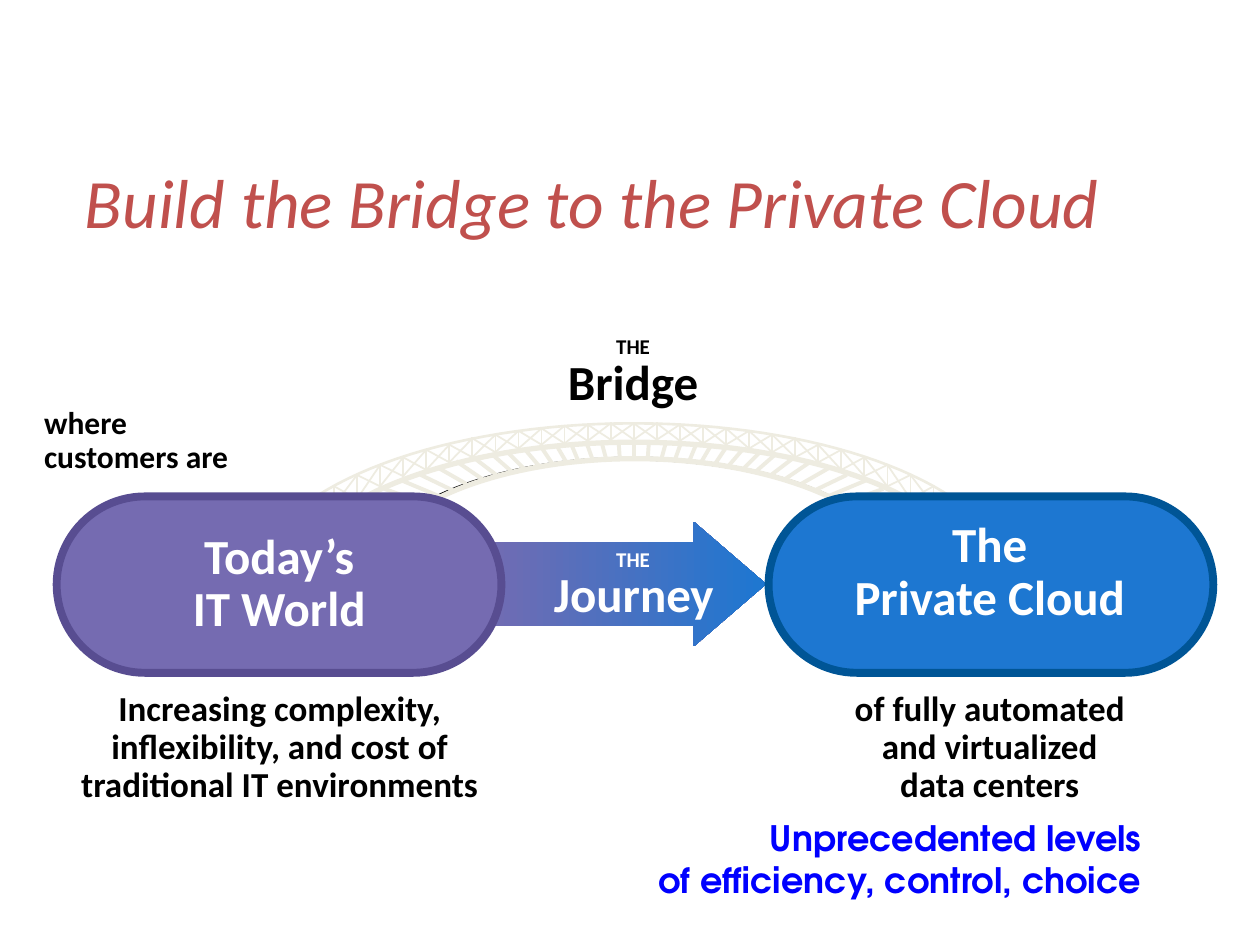
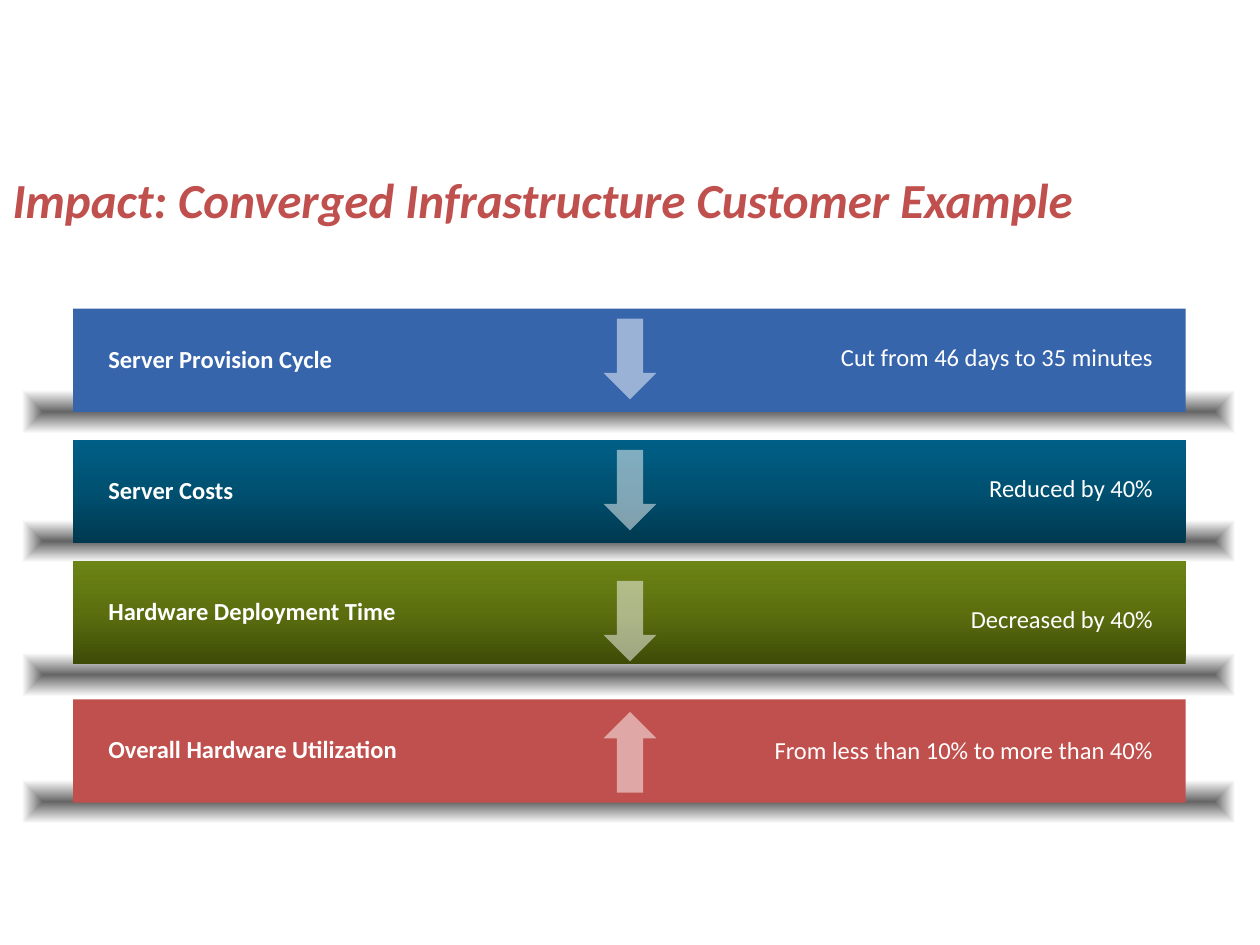
from dataclasses import dataclass

from lxml import etree
from pptx import Presentation
from pptx.dml.color import RGBColor
from pptx.enum.shapes import MSO_CONNECTOR, MSO_SHAPE
from pptx.enum.text import MSO_ANCHOR, PP_ALIGN
from pptx.oxml import parse_xml
from pptx.oxml.ns import nsdecls, qn
from pptx.util import Inches, Pt

COLORS = {
    "title": "C0504D",
    "purple": "756BB1",
    "purple_edge": "584D91",
    "blue": "1D77D1",
    "blue_edge": "005596",
    "steel": "EEECE1",
    "black": "000000",
    "white": "FFFFFF",
    "promise": "0000FF",
    "provision": "3665AC",
}
FONT = "Calibri"
CENTER_X = 5.03
PANEL_STEP = 0.183
TRUSS_TOP = [3.36, 3.36, 3.37, 3.38, 3.40, 3.42, 3.45, 3.48, 3.53, 3.57, 3.63, 3.69, 3.77, 3.86]
TRUSS_BOTTOM = [3.49, 3.49, 3.50, 3.52, 3.53, 3.56, 3.59, 3.63, 3.67, 3.73, 3.78, 3.86, 3.96, 4.01]
DECK_STRUTS = [
    (5.14, 3.65, 5.15, 3.51), (5.25, 3.64, 5.28, 3.53), (5.36, 3.64, 5.41, 3.50),
    (5.47, 3.66, 5.52, 3.54), (5.57, 3.66, 5.64, 3.54), (5.67, 3.69, 5.77, 3.54),
    (5.78, 3.70, 5.90, 3.56), (5.89, 3.73, 6.03, 3.59), (5.99, 3.75, 6.15, 3.61),
    (6.12, 3.77, 6.29, 3.64), (6.22, 3.81, 6.44, 3.66), (6.36, 3.84, 6.57, 3.72),
    (6.47, 3.89, 6.72, 3.77), (6.57, 3.94, 6.88, 3.81), (6.67, 4.00, 7.01, 3.88),
]
Point = tuple[float, float]


@dataclass(frozen=True)
class Arc:
    points: list[Point]
    color: str
    weight: float


@dataclass(frozen=True)
class Pill:
    left: float
    fill: str
    edge: str


@dataclass(frozen=True)
class Label:
    text: str
    box: tuple[float, float, float, float]
    size: float
    color: str = COLORS["black"]
    align: PP_ALIGN = PP_ALIGN.CENTER
    spacing: float = 1.0
    font: str = FONT
    bold: bool = True
    wrap: bool = False


@dataclass(frozen=True)
class Impact:
    measure: str
    result: str
    top: float
    shadow_top: float
    fill: list[str]
    arrow: MSO_SHAPE = MSO_SHAPE.DOWN_ARROW


ARCS = [
    Arc([(3.28, 4.05), (3.68, 3.79), (4.33, 3.64), (5.03, 3.64),
         (5.71, 3.64), (6.35, 3.79), (6.75, 4.03)], COLORS["black"], 2.25),
    Arc([(2.70, 4.06), (3.20, 3.72), (4.08, 3.51), (5.03, 3.51),
         (5.95, 3.51), (6.81, 3.70), (7.31, 4.02)], COLORS["steel"], 3),
    Arc([(2.37, 4.04), (2.90, 3.62), (3.92, 3.36), (5.03, 3.36),
         (6.10, 3.36), (7.09, 3.60), (7.63, 4.00)], COLORS["steel"], 1.5),
    Arc([(3.29, 4.06), (3.68, 3.80), (4.34, 3.64), (5.04, 3.64),
         (5.73, 3.64), (6.38, 3.80), (6.78, 4.05)], COLORS["steel"], 3),
]
PILLS = [
    Pill(6.10, COLORS["blue"], COLORS["blue_edge"]),
    Pill(0.45, COLORS["purple"], COLORS["purple_edge"]),
]
BRIDGE_LABELS = [
    Label("The\nPrivate Cloud", (6.60, 4.13, 2.51, 0.84), 28, COLORS["white"], spacing=0.9),
    Label("Today’s\nIT World", (1.44, 4.22, 1.55, 0.84), 28, COLORS["white"], spacing=0.9),
    Label("THE", (4.86, 4.34, 0.33, 0.20), 12, COLORS["white"]),
    Label("Journey", (4.27, 4.47, 1.52, 0.47), 28, COLORS["white"]),
    Label("THE", (4.86, 2.65, 0.33, 0.20), 12),
    Label("Bridge", (4.41, 2.79, 1.23, 0.47), 28),
    Label("where\ncustomers are", (0.35, 3.23, 1.71, 0.54), 18, align=PP_ALIGN.LEFT, spacing=0.9),
    Label("of fully automated\nand virtualized\ndata centers", (6.66, 5.49, 2.39, 0.90), 20, spacing=0.9),
    Label("Unprecedented levels\nof efficiency, control, choice", (5.21, 6.48, 3.85, 0.67), 20,
          COLORS["promise"], PP_ALIGN.RIGHT, font="TeX Gyre Adventor"),
    Label("Increasing complexity,\ninflexibility, and cost of\ntraditional IT environments",
          (0.44, 5.49, 3.56, 0.90), 20, spacing=0.9),
]
IMPACTS = [
    Impact("Server Provision Cycle", "Cut from 46 days to 35 minutes", 2.45, 3.10, [COLORS["provision"]]),
    Impact("Server Costs", "Reduced by 40%", 3.49, 4.13, ["00394F", "005071", "005F86"]),
    Impact("Hardware Deployment Time", "Decreased by 40%", 4.45, 5.19, ["3D4B07", "5B6F0F", "6D8515"]),
    Impact("Overall Hardware Utilization", "From less than 10% to more than 40%", 5.55, 6.20,
           [COLORS["title"]], MSO_SHAPE.UP_ARROW),
]


def rgb(color: str) -> RGBColor:
    return RGBColor.from_string(color)


def inches(*values: float) -> list[int]:
    return [Inches(value) for value in values]


def set_gradient(shape, stops: list[tuple[str, int]], direction: str) -> None:
    steps = "".join(
        f'<a:gs pos="{i * 100000 // (len(stops) - 1)}"><a:srgbClr val="{color}">'
        f'<a:alpha val="{alpha * 1000}"/></a:srgbClr></a:gs>'
        for i, (color, alpha) in enumerate(stops)
    )
    gradient = parse_xml(f'<a:gradFill {nsdecls("a")} rotWithShape="1"><a:gsLst>{steps}</a:gsLst>{direction}</a:gradFill>')
    shape.fill.background()
    properties = shape.element.spPr
    properties.replace(properties.find(qn("a:noFill")), gradient)


def add_block(slide, kind: MSO_SHAPE, box: tuple[float, ...], fill: str | None = None):
    block = slide.shapes.add_shape(kind, *inches(*box))
    block.shadow.inherit = False
    block.line.fill.background()
    if fill:
        block.fill.solid()
        block.fill.fore_color.rgb = rgb(fill)
    return block


def format_text(frame, label: Label) -> None:
    frame.word_wrap = label.wrap
    paragraph = frame.paragraphs[0]
    paragraph.text = label.text
    paragraph.alignment = label.align
    paragraph.line_spacing = label.spacing
    for run in paragraph.runs:
        run.font.name = label.font
        run.font.size = Pt(label.size)
        run.font.bold = label.bold
        run.font.color.rgb = rgb(label.color)


def add_label(slide, label: Label, inset: tuple[float, float] = (0, 0)) -> None:
    frame = slide.shapes.add_textbox(*inches(*label.box)).text_frame
    frame.margin_left = frame.margin_right = Inches(inset[0])
    frame.margin_top = frame.margin_bottom = Inches(inset[1])
    format_text(frame, label)


def set_title(slide, label: Label, anchor: MSO_ANCHOR) -> None:
    title = slide.shapes.title
    title.left, title.top, title.width, title.height = inches(*label.box)
    title.text_frame.vertical_anchor = anchor
    format_text(title.text_frame, label)
    title.text_frame.paragraphs[0].runs[0].font.italic = True


def add_member(slide, ends: tuple[float, ...], weight: float) -> None:
    member = slide.shapes.add_connector(MSO_CONNECTOR.STRAIGHT, *inches(*ends))
    member.line.color.rgb = rgb(COLORS["steel"])
    member.line.width = Pt(weight)
    etree.SubElement(member.element.spPr, qn("a:effectLst"))


def add_outline(slide, points: list[Point], color: str, weight: float) -> None:
    corners = [tuple(inches(*point)) for point in points]
    builder = slide.shapes.build_freeform(*corners[0])
    builder.add_line_segments(corners[1:], close=False)
    outline = builder.convert_to_shape()
    outline.shadow.inherit = False
    outline.fill.background()
    outline.line.color.rgb = rgb(color)
    outline.line.width = Pt(weight)


def curve(points: list[Point], steps: int = 24) -> list[Point]:
    result = [points[0]]
    for first in range(0, len(points) - 1, 3):
        a, b, c, d = points[first:first + 4]
        for step in range(1, steps + 1):
            t = step / steps
            u = 1 - t
            result.append(tuple(
                u**3 * p + 3 * u**2 * t * q + 3 * u * t**2 * r + t**3 * s
                for p, q, r, s in zip(a, b, c, d)
            ))
    return result


def draw_bridge(slide) -> None:
    for arc in ARCS[:-1]:
        add_outline(slide, curve(arc.points), arc.color, arc.weight)
    add_member(slide, (CENTER_X, 3.64, CENTER_X, 3.51), 2.25)
    for x1, y1, x2, y2 in DECK_STRUTS:
        add_member(slide, (x1, y1, x2, y2), 2.25)
        add_member(slide, (2 * CENTER_X - x1, y1, 2 * CENTER_X - x2, y2), 2.25)
    add_outline(slide, curve(ARCS[-1].points), ARCS[-1].color, ARCS[-1].weight)
    panels = list(enumerate(zip(TRUSS_TOP, TRUSS_BOTTOM)))
    for side in (1, -1):
        for i, (top, bottom) in panels:
            x = CENTER_X + side * i * PANEL_STEP
            if i or side == 1:
                add_member(slide, (x, top - 0.01, x, bottom + 0.02), 1)
        for start in (0, 1):
            brace = [(CENTER_X + side * i * PANEL_STEP, chords[(i + start) % 2]) for i, chords in panels]
            add_outline(slide, brace, COLORS["steel"], 1)


def build_bridge_slide(slide) -> None:
    set_title(slide, Label("Build the Bridge to the Private Cloud", (0.2, 1.23, 9, 0.72), 39.6,
                           COLORS["title"], bold=False, wrap=True), MSO_ANCHOR.MIDDLE)
    journey = add_block(slide, MSO_SHAPE.RIGHT_ARROW, (3.79, 4.14, 2.29, 0.99))
    journey.adjustments[0], journey.adjustments[1] = 0.67, 0.58
    set_gradient(journey, [(COLORS["purple"], 100), (COLORS["blue"], 100)], '<a:lin ang="0" scaled="0"/>')
    draw_bridge(slide)
    for pill in PILLS:
        world = add_block(slide, MSO_SHAPE.ROUNDED_RECTANGLE, (pill.left, 3.94, 3.53, 1.40), pill.fill)
        world.adjustments[0] = 0.5
        world.line.color.rgb = rgb(pill.edge)
        world.line.width = Pt(4.5)
    for label in BRIDGE_LABELS:
        add_label(slide, label)


def build_impact_slide(slide) -> None:
    set_title(slide, Label("Impact: Converged Infrastructure Customer Example", (0, 1.25, 10, 0.61), 28,
                           COLORS["title"], PP_ALIGN.LEFT, wrap=True), MSO_ANCHOR.BOTTOM)
    for impact in IMPACTS:
        glow = add_block(slide, MSO_SHAPE.RECTANGLE, (0.18, impact.shadow_top, 9.62, 0.33))
        set_gradient(glow, [(COLORS["black"], 61), (COLORS["black"], 0)],
                     '<a:path path="shape"><a:fillToRect l="50000" t="50000" r="50000" b="50000"/></a:path>')
    for row, impact in enumerate(IMPACTS):
        box = (0.58, impact.top, 8.83, 0.82)
        bar = add_block(slide, MSO_SHAPE.RECTANGLE, box, impact.fill[0])
        if len(impact.fill) > 1:
            set_gradient(bar, [(color, 100) for color in impact.fill], '<a:lin ang="16200000" scaled="0"/>')
        frame = bar.text_frame
        frame.vertical_anchor = MSO_ANCHOR.MIDDLE
        frame.margin_left, frame.margin_top, frame.margin_right, frame.margin_bottom = inches(0.28, 0.04, 0.08, 0.04)
        format_text(frame, Label(impact.measure, box, 14, COLORS["white"], PP_ALIGN.LEFT, 0.9))
        add_label(slide, Label(impact.result, (5.42, 2.69 + 1.04 * row, 3.83, 0.31), 14, COLORS["white"],
                               PP_ALIGN.RIGHT, 0.9, bold=False, wrap=True), (0.1, 0.05))
        trend = add_block(slide, impact.arrow, (4.79, 2.53 + 1.04 * row, 0.42, 0.64), COLORS["white"])
        white = trend.element.spPr.find(qn("a:solidFill")).find(qn("a:srgbClr"))
        etree.SubElement(white, qn("a:alpha")).set("val", "50000")


def main() -> None:
    deck = Presentation()
    deck.slide_width, deck.slide_height = inches(10, 7.5)
    for build in (build_bridge_slide, build_impact_slide):
        build(deck.slides.add_slide(deck.slide_layouts[5]))
    deck.save("out.pptx")


if __name__ == "__main__":
    main()
